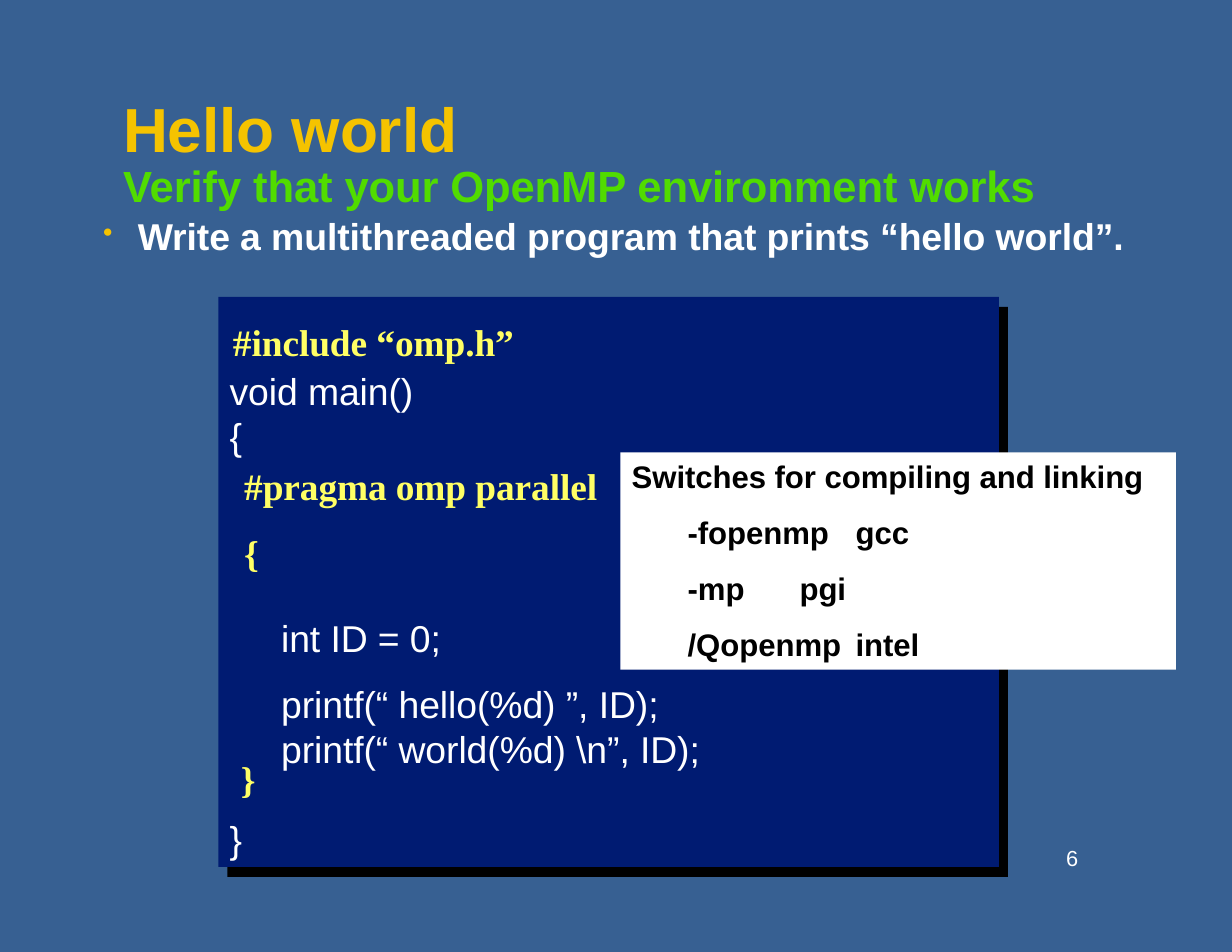
from lxml import etree
from pptx import Presentation
from pptx.dml.color import RGBColor
from pptx.enum.shapes import MSO_SHAPE
from pptx.oxml.ns import qn
from pptx.util import Inches, Pt

RECTANGLE = MSO_SHAPE.RECTANGLE
SANS = "Arial"
SERIF = "Times New Roman"
BACKGROUND = "376092"
GOLD = "F5C300"
GREEN = "51DC00"
YELLOW = "FFFF65"
NAVY = "001B72"
WHITE = "FFFFFF"
BLACK = "000000"
CODE_LEADING = 28.8


def color(hex_string):
    return RGBColor.from_string(hex_string)


def add_panel(slide, left, top, width, height, fill):
    panel = slide.shapes.add_shape(
        RECTANGLE, Inches(left), Inches(top), Inches(width), Inches(height))
    panel.shadow.inherit = False
    panel.fill.solid()
    panel.fill.fore_color.rgb = color(fill)
    panel.line.fill.background()


def add_text(slide, left, top, width, height, lines, inset=0.01):
    box = slide.shapes.add_textbox(
        Inches(left), Inches(top), Inches(width), Inches(height))
    frame = box.text_frame
    frame.word_wrap = True
    frame.margin_left = frame.margin_right = frame.margin_bottom = 0
    frame.margin_top = Inches(inset)
    for number, line in enumerate(lines):
        paragraph = frame.add_paragraph() if number else frame.paragraphs[0]
        write_line(paragraph, **line)


def write_line(paragraph, text, size=24, font=SANS, ink=WHITE, bold=False,
               indent=0.01, hanging=0, before=0, leading=None, bullet=None, tab=None):
    run = paragraph.add_run()
    run.text = text
    run._r.get_or_add_rPr().set("spc", "-5")
    properties = paragraph._p.get_or_add_pPr()
    properties.set("marL", str(Inches(indent)))
    properties.set("indent", str(Inches(-hanging)))
    if leading:
        paragraph.line_spacing = Pt(leading)
    paragraph.space_before = Pt(before)
    if bullet:
        bullet_color = etree.SubElement(properties, qn("a:buClr"))
        etree.SubElement(bullet_color, qn("a:srgbClr"), val=GOLD)
        etree.SubElement(properties, qn("a:buSzPct"), val="75000")
        etree.SubElement(properties, qn("a:buChar"), char=bullet)
    if tab:
        tabs = etree.SubElement(properties, qn("a:tabLst"))
        etree.SubElement(tabs, qn("a:tab"), pos=str(Inches(tab)), algn="l")
    paragraph.font.size = Pt(size)
    paragraph.font.name = font
    paragraph.font.bold = bold
    paragraph.font.color.rgb = color(ink)


def code(text, **options):
    return dict(text=text, leading=CODE_LEADING, **options)


def directive(text, **options):
    return dict(text=text, font=SERIF, ink=YELLOW, bold=True, **options)


def switch(text, **options):
    return dict(text=text, size=20, ink=BLACK, bold=True, **options)


def add_heading(slide):
    add_text(slide, 1.09, 0.8, 8.06, 0.7,
             [dict(text="Hello world", size=40, ink=GOLD, bold=True)])
    add_text(slide, 0.9, 1.41, 9.19, 0.91, [
        dict(text="Verify that your OpenMP environment works",
             size=28, ink=GREEN, bold=True, indent=0.2),
        dict(text="Write a multithreaded program that prints “hello world”.",
             bold=True, indent=0.33, hanging=0.31, before=1.2, bullet="•", tab=0.33),
    ])


def add_program(slide):
    add_panel(slide, 2.03, 2.74, 6.97, 5.09, BLACK)
    add_panel(slide, 1.95, 2.65, 6.97, 5.09, NAVY)
    add_text(slide, 2.5, 5.48, 1.46, 0.43, [dict(text="int ID = 0;")])
    add_text(slide, 2.5, 6.07, 3.79, 0.83, [
        code("printf(“ hello(%d) ”, ID);"),
        code("printf(“ world(%d) \\n”, ID);"),
    ])
    add_text(slide, 2.14, 6.74, 0.16, 0.43, [directive("}")])
    add_text(slide, 2.04, 2.8, 3.32, 2.35, [
        directive("#include “omp.h”", indent=0.04),
        code("void main()", before=2.8),
        code("{"),
        directive("#pragma omp parallel", indent=0.14, before=3.5),
        directive("{", indent=0.14, before=14.3),
    ], inset=0.05)
    add_text(slide, 2.04, 7.3, 0.14, 0.4, [dict(text="}", leading=27.6)], inset=0)


def add_switches(slide):
    add_panel(slide, 5.54, 4.04, 4.96, 1.94, WHITE)
    add_text(slide, 5.63, 3.9, 4.6, 1.53, [
        switch("Switches for compiling and linking"),
        switch("-fopenmp\tgcc", indent=0.51, before=12, tab=2.16),
        switch("-mp\tpgi", indent=0.51, before=12, tab=1.18),
    ], inset=0.18)
    add_text(slide, 6.13, 5.57, 2.12, 0.36, [switch("/Qopenmp\tintel", tab=1.54)])


def main():
    presentation = Presentation()
    presentation.slide_width = Inches(11)
    presentation.slide_height = Inches(8.5)
    slide = presentation.slides.add_slide(presentation.slide_layouts[6])
    slide.background.fill.solid()
    slide.background.fill.fore_color.rgb = color(BACKGROUND)
    add_heading(slide)
    add_program(slide)
    add_switches(slide)
    add_text(slide, 9.37, 7.55, 0.41, 0.25,
             [dict(text="6", size=14, indent=0.15, leading=16.4)], inset=0)
    presentation.save("out.pptx")


if __name__ == "__main__":
    main()
